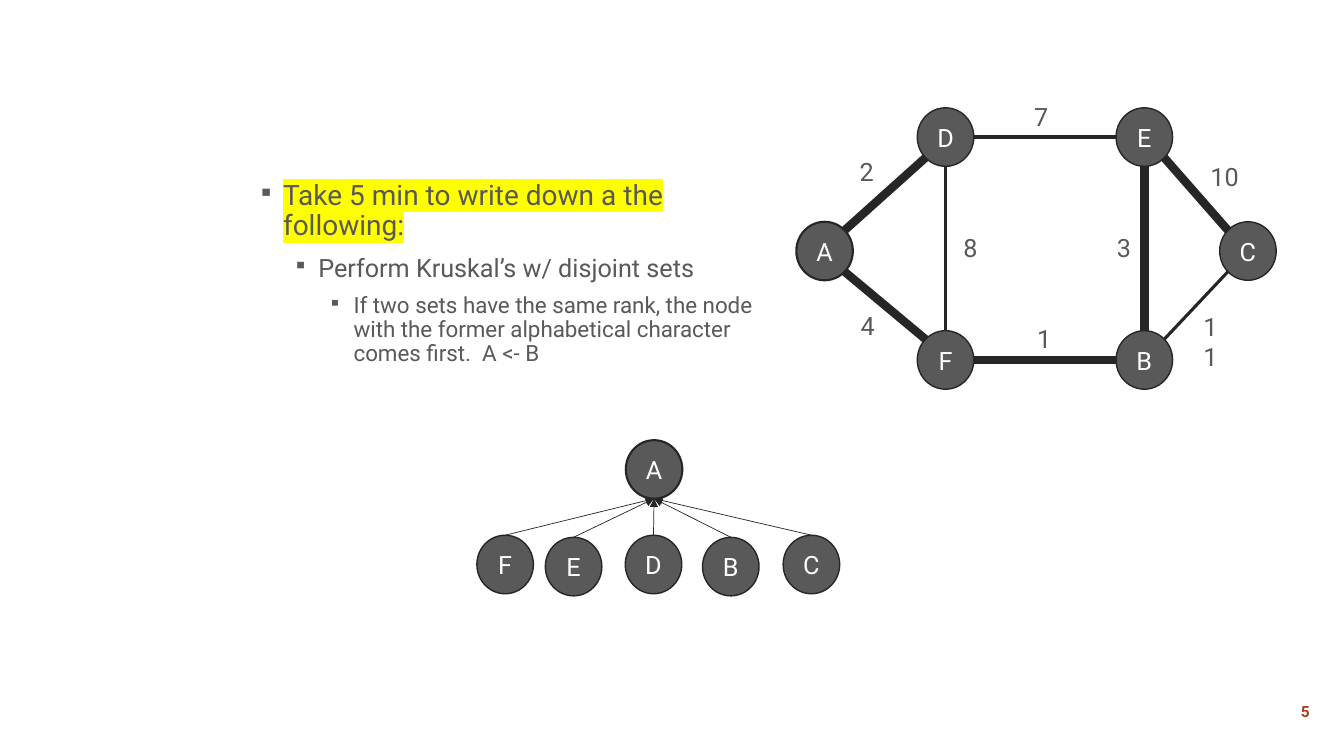
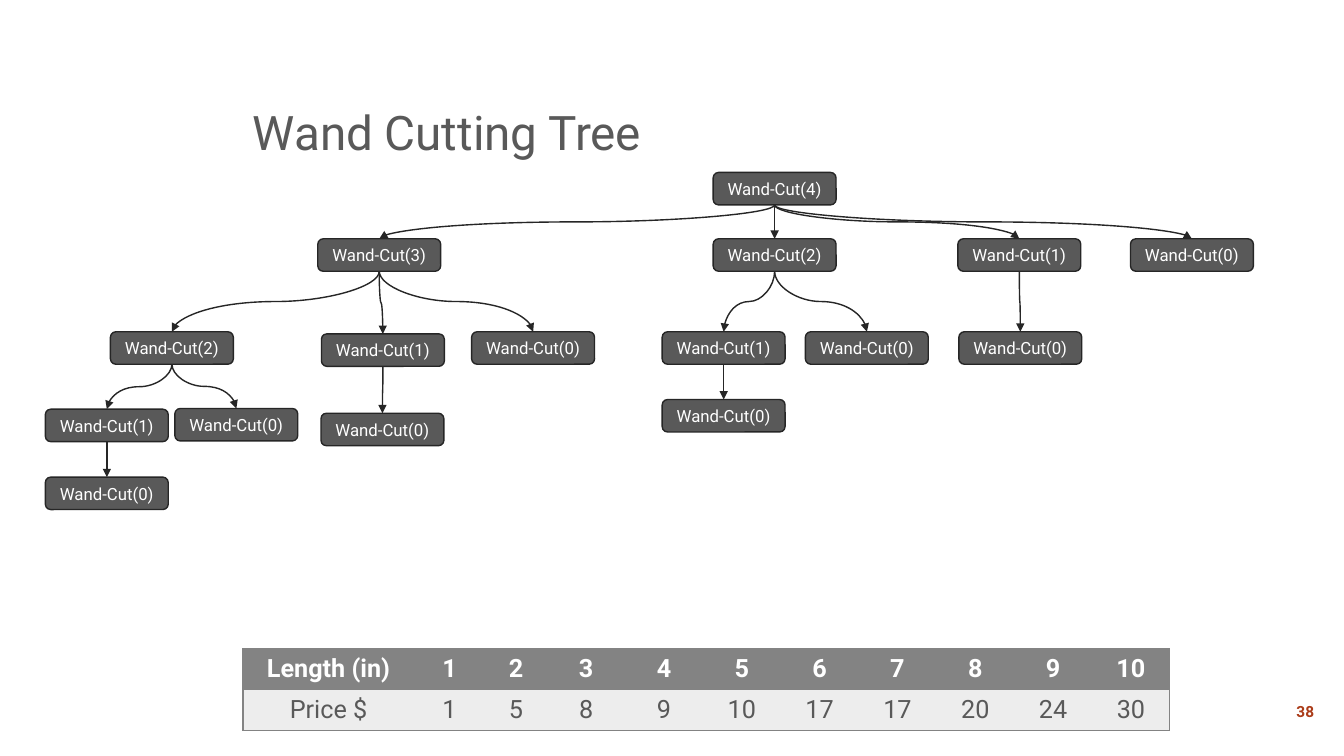
import pptx
import pptx.dml.color
import pptx.enum.shapes
import pptx.enum.text
import pptx.oxml.ns
import pptx.oxml.xmlchemy
import pptx.util
from lxml import etree

Pt = pptx.util.Pt
RGBColor = pptx.dml.color.RGBColor
MSO_SHAPE = pptx.enum.shapes.MSO_SHAPE
MSO_CONNECTOR = pptx.enum.shapes.MSO_CONNECTOR
PP_ALIGN = pptx.enum.text.PP_ALIGN
MSO_ANCHOR = pptx.enum.text.MSO_ANCHOR
qn = pptx.oxml.ns.qn

GRAY = RGBColor(0x59, 0x59, 0x59)
DARK = RGBColor(0x26, 0x26, 0x26)
WHITE = RGBColor(0xFF, 0xFF, 0xFF)
RUST = RGBColor(0xAB, 0x3C, 0x19)
HEADER = RGBColor(0x83, 0x83, 0x83)
BODY = RGBColor(0xED, 0xED, 0xED)
YELLOW = RGBColor(0xFF, 0xFF, 0x00)

NODE_W, NODE_H = 40.4, 41.8
BOX_W, BOX_H = 87.8, 23.2
NO_GRID_STYLE = "{2D5ABB26-0587-4C30-8999-92F81FD0307C}"


def sub(parent, tag, **attrs):
    return etree.SubElement(parent, qn(tag), attrs)


def sign(value):
    return (value > 0) - (value < 0)


class Deck:
    font = "Roboto"

    def __init__(self):
        self.prs = pptx.Presentation()
        self.prs.slide_width, self.prs.slide_height = Pt(960), Pt(540)
        self.s = None

    def slide(self, number):
        self.s = self.prs.slides.add_slide(self.prs.slide_layouts[6])
        self.text(str(number), 911.5, 494.6, 41.8, 27.4, 11, RUST, True,
                  PP_ALIGN.CENTER, MSO_ANCHOR.MIDDLE)

    def run(self, p, text, size, color, bold=False, highlight=None):
        r = p.add_run()
        r.text = text
        r.font.size, r.font.name, r.font.bold = Pt(size), self.font, bold
        r.font.color.rgb = color
        if highlight is not None:
            mark = etree.Element(qn("a:highlight"))
            sub(mark, "a:srgbClr", val=str(highlight))
            r.font._element.find(qn("a:solidFill")).addnext(mark)

    def text(self, text, x, y, w, h, size, color=GRAY, bold=False,
             align=PP_ALIGN.LEFT, anchor=MSO_ANCHOR.TOP, wrap=True):
        sp = self.s.shapes.add_textbox(Pt(x), Pt(y), Pt(w), Pt(h))
        tf = sp.text_frame
        tf.word_wrap, tf.vertical_anchor = wrap, anchor
        p = tf.paragraphs[0]
        p.alignment = align
        self.run(p, text, size, color, bold)

    def title(self, text):
        self.text(text, 173.5, 24, 738, 94, 34, anchor=MSO_ANCHOR.BOTTOM)

    def bullets(self, items, x, y, w, h):
        tf = self.s.shapes.add_textbox(Pt(x), Pt(y), Pt(w), Pt(h)).text_frame
        tf.word_wrap = True
        for level, (text, size, before, highlight) in enumerate(items):
            p = tf.add_paragraph() if level else tf.paragraphs[0]
            p.level, p.line_spacing, p.space_before = level, 0.9, Pt(before)
            pPr = p._p.get_or_add_pPr()
            pPr.set("marL", str(Pt(21.6 + 25.2 * level)))
            pPr.set("indent", str(Pt(-18)))
            sub(pPr, "a:buSzPct", val="80000")
            sub(pPr, "a:buChar", char="▪")
            self.run(p, text, size, GRAY, highlight=highlight)

    def shape(self, kind, text, x, y, w, h, size, line=1):
        sp = self.s.shapes.add_shape(kind, Pt(x), Pt(y), Pt(w), Pt(h))
        sp.shadow.inherit = False
        sp.fill.solid()
        sp.fill.fore_color.rgb = GRAY
        sp.line.color.rgb, sp.line.width = DARK, Pt(line)
        sp.text_frame.vertical_anchor = MSO_ANCHOR.MIDDLE
        p = sp.text_frame.paragraphs[0]
        p.alignment = PP_ALIGN.CENTER
        self.run(p, text, size, WHITE)
        return sp

    def node(self, name, x, y):
        self.shape(MSO_SHAPE.OVAL, name, x, y, NODE_W, NODE_H, 18,
                   1.5 if name == "A" else 1)

    def box(self, n, center, y):
        return self.shape(MSO_SHAPE.ROUNDED_RECTANGLE, f"Wand-Cut({n})",
                          center - BOX_W / 2, y, BOX_W, BOX_H, 12)

    def style_line(self, cxn, width, arrow):
        cxn.line.color.rgb, cxn.line.width = DARK, Pt(width)
        if arrow:
            sub(cxn.line._get_or_add_ln(), "a:tailEnd", type="triangle")
        sub(cxn._element.spPr, "a:effectLst")

    def edge(self, start, end, width, arrow=False, direction=None):
        dx, dy = direction or [sign(b - a) for a, b in zip(start, end)]
        reach = 0.5 if dx * dy == 0 else 0.35
        rx, ry = dx * reach * NODE_W, dy * reach * NODE_H
        x1, y1 = start[0] + NODE_W / 2 + rx, start[1] + NODE_H / 2 + ry
        x2, y2 = end[0] + NODE_W / 2 - rx, end[1] + NODE_H / 2 - ry
        cxn = self.s.shapes.add_connector(MSO_CONNECTOR.STRAIGHT,
                                          Pt(x1), Pt(y1), Pt(x2), Pt(y2))
        self.style_line(cxn, width, arrow)

    def curve(self, parent, child):
        cxn = self.s.shapes.add_connector(MSO_CONNECTOR.CURVE, 0, 0, 0, 0)
        cxn.begin_connect(parent, 2)
        cxn.end_connect(child, 0)
        x1, x2 = (sp.left + sp.width // 2 for sp in (parent, child))
        y1, y2 = parent.top + parent.height, child.top
        drop, spread = y2 - y1, abs(x2 - x1)
        xfrm = cxn._element.spPr.find(qn("a:xfrm"))
        for flip in ("flipH", "flipV"):
            xfrm.attrib.pop(flip, None)
        cxn.left, cxn.top = (x1 + x2 - drop) // 2, (y1 + y2 - spread) // 2
        cxn.width, cxn.height = drop, spread
        xfrm.set("rot", "5400000" if x2 <= x1 else "16200000")
        if x2 > x1:
            xfrm.set("flipH", "1")
        self.style_line(cxn, 1, True)

    def tree(self, n, center, y, children=()):
        parent = self.box(n, center, y)
        for child in children:
            self.curve(parent, self.tree(*child))
        return parent

    def table(self, rows, widths, x, y, row_height):
        frame = self.s.shapes.add_table(len(rows), len(widths), Pt(x), Pt(y),
                                        Pt(sum(widths)), Pt(row_height * len(rows)))
        table = frame.table
        table.horz_banding = False
        table._tbl.tblPr.find(qn("a:tableStyleId")).text = NO_GRID_STYLE
        for column, width in zip(table.columns, widths):
            column.width = Pt(width)
        for i, row in enumerate(rows):
            table.rows[i].height = Pt(row_height)
            for j, value in enumerate(row):
                cell = table.cell(i, j)
                sides = {"L": j == 0, "R": j == len(row) - 1, "T": True, "B": True}
                for side in (k for k, shown in sides.items() if shown):
                    ln = sub(cell._tc.get_or_add_tcPr(), "a:ln" + side, w=str(Pt(1)))
                    sub(sub(ln, "a:solidFill"), "a:srgbClr", val=str(HEADER))
                cell.fill.solid()
                cell.fill.fore_color.rgb = BODY if i else HEADER
                p = cell.text_frame.paragraphs[0]
                p.alignment = PP_ALIGN.CENTER
                self.run(p, str(value), 18, GRAY if i else WHITE, i == 0)


def kruskal(deck):
    deck.slide(5)
    deck.bullets([
        ("Take 5 min to write down a the following:", 20, 0, YELLOW),
        ("Perform Kruskal’s w/ disjoint sets", 18, 10, None),
        ("If two sets have the same rank, the node with the former alphabetical "
         "character comes first.  A <- B", 16, 8, None),
    ], 173.5, 126, 377.3, 324)

    graph = {"F": (655.2, 236.2), "E": (797.2, 77), "B": (797.2, 236.2),
             "D": (655.2, 77), "C": (871.2, 158.4), "A": (568.8, 158.4)}
    for name, at in graph.items():
        deck.node(name, *at)
    for pair, width in {"AD": 6, "AF": 6, "DE": 2.25, "FB": 6,
                        "EC": 6, "CB": 2.25, "EB": 6, "DF": 2.25}.items():
        deck.edge(graph[pair[0]], graph[pair[1]], width)
    for weight, x, y, w in [(2, 607, 108, 25.2), (3, 790.6, 162.7, 25.2),
                            (1, 733.7, 227.5, 25.2), (4, 607.7, 218.2, 25.2),
                            (7, 731.5, 69.1, 25.2), (8, 681.1, 162.7, 25.2),
                            (10, 857.5, 111.6, 36), (11, 852.5, 218.9, 33.8)]:
        deck.text(str(weight), x, y, w, 29, 18)

    root = (447, 314.4)
    leaves = {"F": (340.6, 382.3), "E": (389.5, 383.8), "D": (446.6, 382.3),
              "B": (501.8, 383.8), "C": (559.4, 382.3)}
    deck.node("A", *root)
    for name, at in leaves.items():
        deck.node(name, *at)
        deck.edge(at, root, 0.5, True, (0, -1))


def wand_cutting(deck):
    deck.slide(38)
    deck.title("Wand Cutting Tree")
    deck.table([["Length (in)", *range(1, 11)],
                ["Price $", 1, 5, 8, 9, 10, 17, 17, 20, 24, 30]],
               [122.4, 50.4, 44.6] + [55.6] * 8, 173.5, 463.4, 29.2)
    deck.tree(4, 553.3, 123.2, [
        (3, 270.9, 170.6, [
            (2, 122.8, 237, [
                (1, 76.3, 292.3, [(0, 76.3, 340.8)]),
                (0, 168.8, 291.8)]),
            (1, 273.5, 238.5, [(0, 273.2, 295.2)]),
            (0, 380.8, 237)]),
        (2, 553.3, 170.6, [
            (1, 516.9, 237, [(0, 516.9, 285.4)]),
            (0, 619.2, 237)]),
        (1, 728.1, 170.6, [(0, 728.8, 237)]),
        (0, 851.4, 170.6)])


def main():
    deck = Deck()
    kruskal(deck)
    wand_cutting(deck)
    deck.prs.save("out.pptx")


if __name__ == "__main__":
    main()
